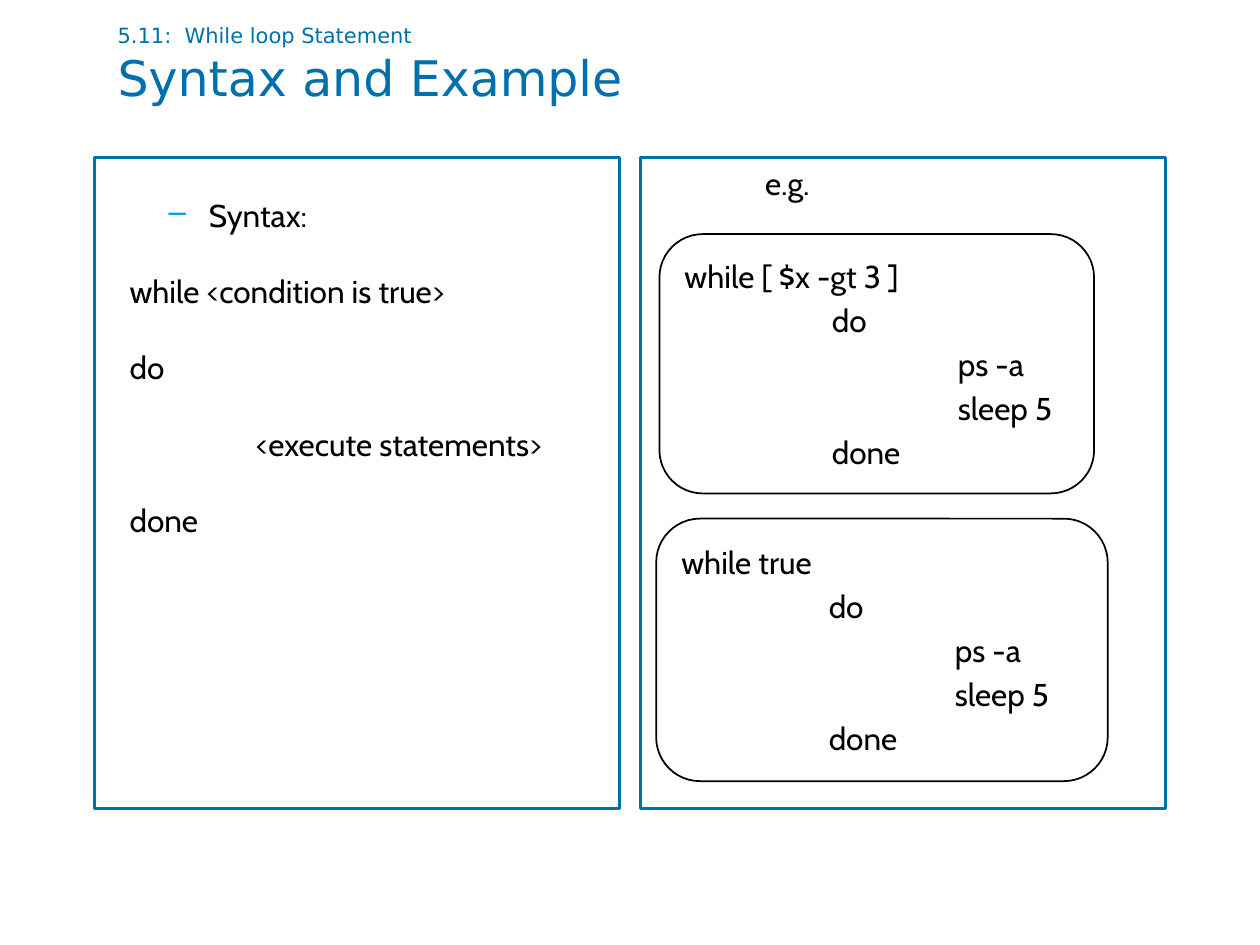
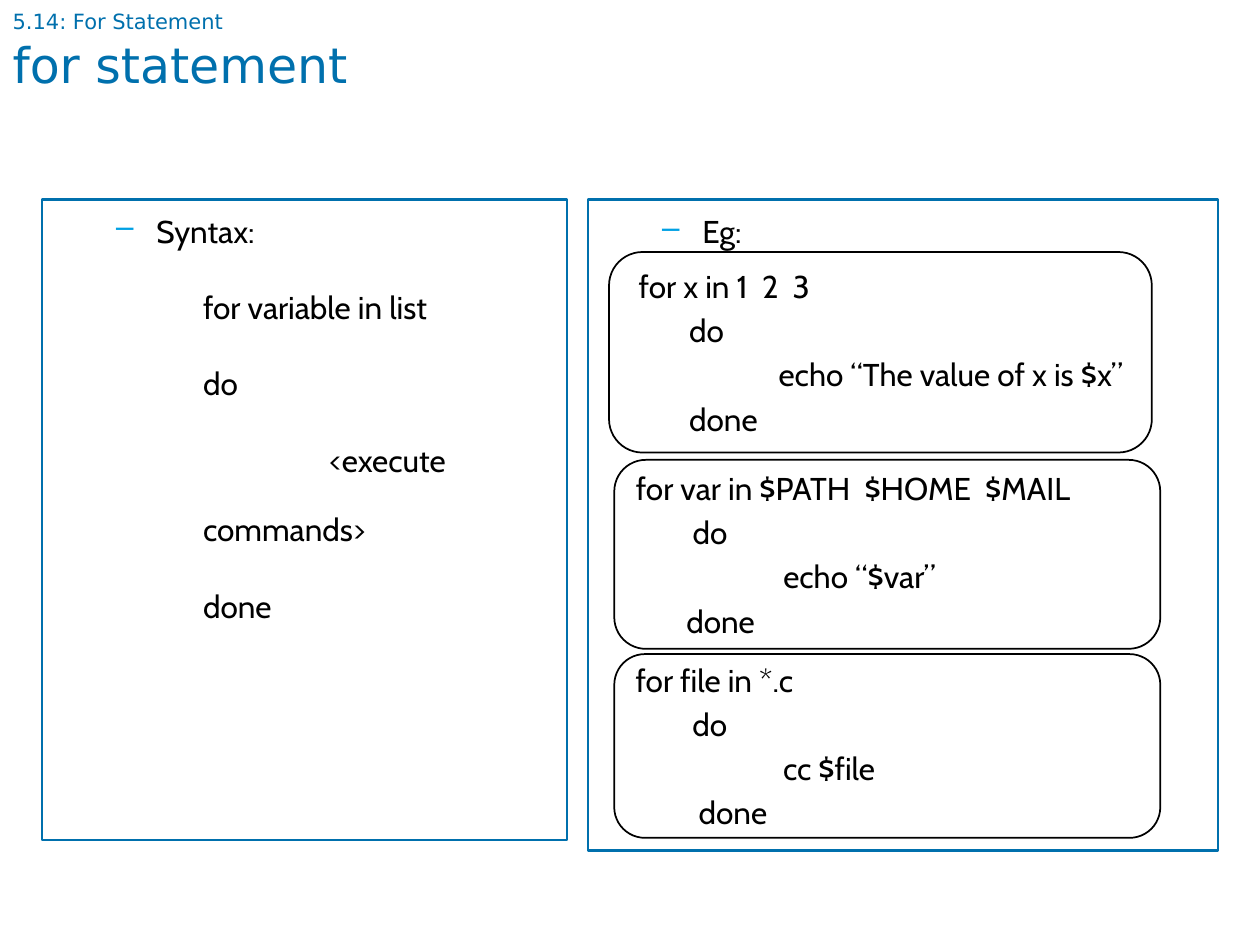
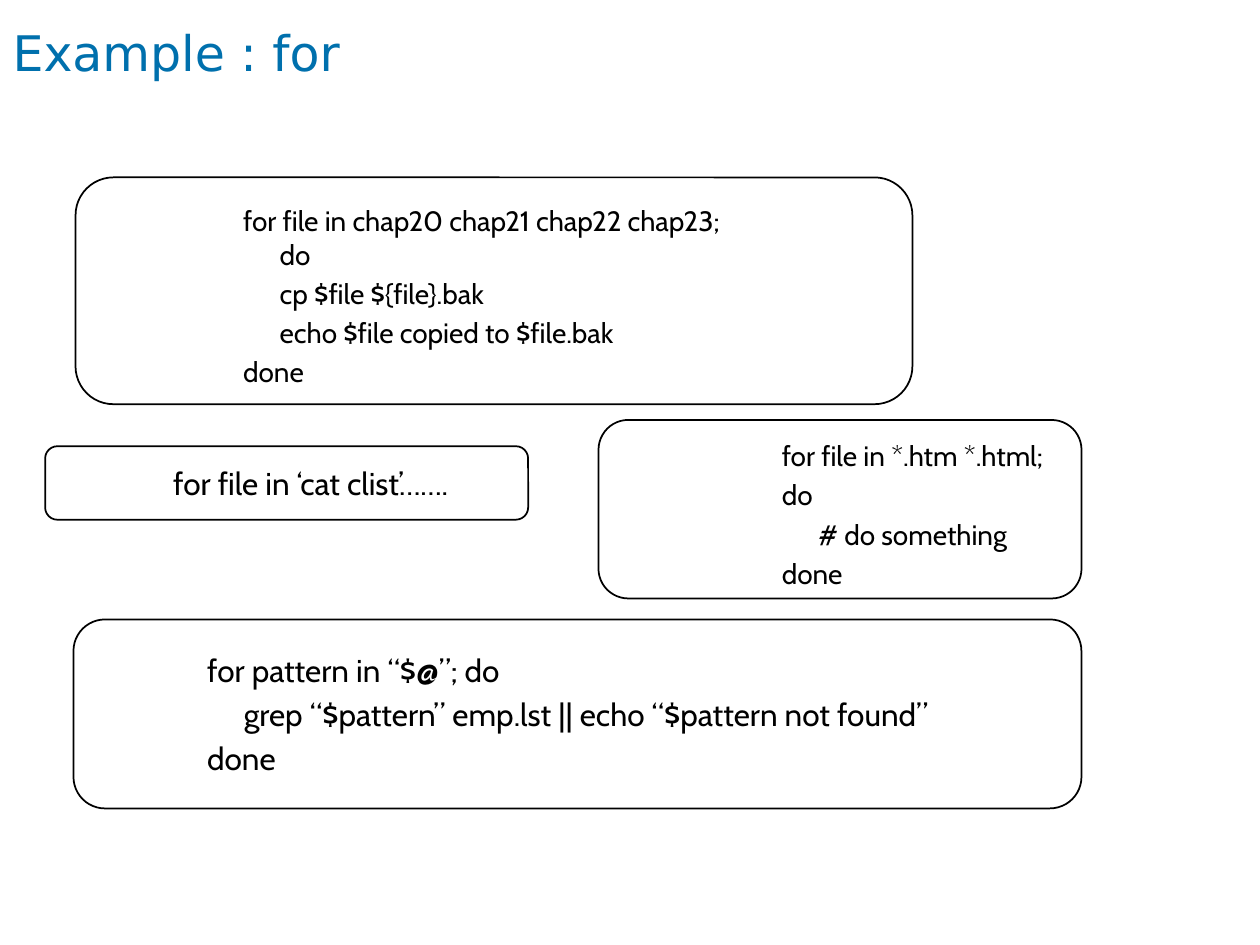
import dataclasses

import lxml.etree
import pptx
import pptx.dml.color
import pptx.enum.shapes
import pptx.enum.text
import pptx.oxml.ns
import pptx.util


@dataclasses.dataclass(frozen=True)
class Theme:
    accent: str = "0070AD"
    bullet: str = "00A1E4"
    ink: str = "000000"
    paper: str = "FFFFFF"
    title_font: str = "DejaVu Sans"
    body_font: str = "Cabin"
    title_size: float = 28
    section_size: float = 12
    body_size: float = 18
    small_size: float = 16
    panel_line: float = 1.5
    code_line: float = 1
    space_before: float = 0.2
    corner: float = 0.167
    hanging: float = 0.29


@dataclasses.dataclass(frozen=True)
class Line:
    text: str
    start: float = 0
    wrapped: float | None = None
    spacing: float | None = None
    bullet: bool = False


def syntax_heading(text, spacing):
    return Line(text, 0.49, 0.81, spacing, True)


def code(*pairs, spacing=None):
    return [Line(text, start, spacing=spacing) for text, start in pairs]


class Deck:
    columns = 120
    rows = 90

    def __init__(self, theme):
        self.theme = theme
        self.presentation = pptx.Presentation()
        self.presentation.slide_width = pptx.util.Inches(10)
        self.presentation.slide_height = pptx.util.Inches(7.5)
        self.slide = None

    def area(self, left, top, width, height):
        column = self.presentation.slide_width / self.columns
        row = self.presentation.slide_height / self.rows
        return [round(length) for length in
                (left * column, top * row, width * column, height * row)]

    def color(self, value):
        return pptx.dml.color.RGBColor.from_string(value)

    def format_run(self, run, font, size, color):
        run.font.name = font
        run.font.size = pptx.util.Pt(size)
        run.font.color.rgb = self.color(color)

    def add_slide(self, title, area, section=None):
        layout = self.presentation.slide_layouts[5]
        self.slide = self.presentation.slides.add_slide(layout)
        shape = self.slide.shapes.title
        shape.left, shape.top, shape.width, shape.height = self.area(*area)
        frame = shape.text_frame
        frame.auto_size = pptx.enum.text.MSO_AUTO_SIZE.NONE
        frame.vertical_anchor = pptx.enum.text.MSO_ANCHOR.TOP
        frame.text = f"{section}\v{title}" if section else title
        paragraph = frame.paragraphs[0]
        paragraph.alignment = pptx.enum.text.PP_ALIGN.LEFT
        for run in paragraph.runs:
            size = self.theme.section_size if run.text == section else self.theme.title_size
            self.format_run(run, self.theme.title_font, size, self.theme.accent)

    def add_bullet(self, properties):
        qualified = pptx.oxml.ns.qn
        color = lxml.etree.SubElement(properties, qualified("a:buClr"))
        lxml.etree.SubElement(color, qualified("a:srgbClr"), val=self.theme.bullet)
        lxml.etree.SubElement(properties, qualified("a:buChar"), char="–")

    def set_lines(self, shape, lines, size, anchor):
        frame = shape.text_frame
        frame.word_wrap = True
        frame.vertical_anchor = anchor
        frame.text = "\n".join(line.text for line in lines)
        for paragraph, line in zip(frame.paragraphs, lines):
            paragraph.alignment = pptx.enum.text.PP_ALIGN.LEFT
            paragraph.space_before = pptx.util.Pt(size * self.theme.space_before)
            if line.spacing:
                paragraph.line_spacing = pptx.util.Pt(line.spacing)
            wrapped = line.start + self.theme.hanging if line.wrapped is None else line.wrapped
            properties = paragraph._p.get_or_add_pPr()
            properties.set("marL", str(pptx.util.Inches(wrapped)))
            properties.set("indent", str(pptx.util.Inches(line.start - wrapped)))
            if line.bullet:
                self.add_bullet(properties)
            for run in paragraph.runs:
                self.format_run(run, self.theme.body_font, size, self.theme.ink)

    def add_outline(self, kind, area, color, width):
        shape = self.slide.shapes.add_shape(kind, *self.area(*area))
        shape.shadow.inherit = False
        shape.line.color.rgb = self.color(color)
        shape.line.width = pptx.util.Pt(width)
        return shape

    def add_panel(self, area, lines):
        shape = self.add_outline(pptx.enum.shapes.MSO_SHAPE.RECTANGLE, area,
                                 self.theme.accent, self.theme.panel_line)
        shape.fill.background()
        self.set_lines(shape, lines, self.theme.body_size, pptx.enum.text.MSO_ANCHOR.TOP)

    def add_code_box(self, area, lines=()):
        shape = self.add_outline(pptx.enum.shapes.MSO_SHAPE.ROUNDED_RECTANGLE, area,
                                 self.theme.ink, self.theme.code_line)
        shape.adjustments[0] = self.theme.corner
        shape.fill.solid()
        shape.fill.fore_color.rgb = self.color(self.theme.paper)
        shape.text_frame.margin_right = 0
        if lines:
            self.set_lines(shape, lines, self.theme.body_size, pptx.enum.text.MSO_ANCHOR.MIDDLE)

    def add_code_text(self, area, lines):
        shape = self.slide.shapes.add_textbox(*self.area(*area))
        self.set_lines(shape, lines, self.theme.small_size, pptx.enum.text.MSO_ANCHOR.TOP)


def add_while_slide(deck):
    deck.add_slide("Syntax and Example", (10, 1.5, 110, 9.4), "5.11:  While loop Statement")
    deck.add_panel((9, 15, 50, 62), [syntax_heading("Syntax:", 40)] + code(
        ("while <condition is true>", 0.18), ("do", 0.18),
        ("<execute statements>", 1.18), ("done", 0.18), spacing=40))
    deck.add_panel((61, 15, 50, 62), code(("e.g.", 0.89)))
    loop_body = code(("do", 1.17), ("ps -a", 2.17), ("sleep 5", 2.17), ("done", 1.17))
    deck.add_code_box((62.8, 22.3, 41.4, 24.7), code(("while [ $x -gt 3 ]", 0)) + loop_body)
    deck.add_code_box((62.5, 49.4, 43, 25), code(("while true", 0)) + loop_body)


def add_for_slide(deck):
    deck.add_slide("for statement", (0, 0.25, 108, 10.4), "5.14: For Statement")
    deck.add_panel((4, 19, 50, 61), [
        syntax_heading("Syntax:", 25),
        *code(("for variable in list", 1.18), ("do", 1.18), spacing=40),
        Line("<execute commands>", 2.18, 1.18, 40),
        Line("done", 1.18, spacing=40)])
    deck.add_panel((56, 19, 60, 62), [syntax_heading("Eg:", 25)])
    deck.add_code_box((58, 24, 51.7, 19.1), code(
        ("for x in 1  2  3", 0.06), ("do", 0.46),
        ("echo “The value of x is $x”", 1.17), ("done", 0.46)))
    deck.add_code_box((58.5, 43.8, 52, 18), code(
        ("for var in $PATH  $HOME  $MAIL", 0), ("do", 0.45),
        ("echo “$var”", 1.17), ("done", 0.4)))
    deck.add_code_box((58.5, 62.3, 52, 17.5), code(
        ("for file in *.c", 0), ("do", 0.45), ("cc $file", 1.17), ("done", 0.5)))


def add_for_examples_slide(deck):
    outer, inner = 0.89, 1.18
    deck.add_slide("Example : for", (0, 1.5, 102, 9.4))
    deck.add_code_box((7.2, 16.9, 79.7, 21.6))
    deck.add_code_box((4.3, 42.5, 46, 7), code(("for file in ‘cat clist’…….", outer)))
    deck.add_code_box((57, 40, 46, 17))
    deck.add_code_box((7, 59, 96, 18), code(
        ("for pattern in “$@”; do", outer),
        ("grep “$pattern” emp.lst || echo “$pattern not found”", inner),
        ("done", outer)))
    deck.add_code_text((11.3, 18.8, 60, 19.3), code(
        ("for file in chap20 chap21 chap22 chap23; do", outer),
        ("cp $file ${file}.bak", inner),
        ("echo $file copied to $file.bak", inner),
        ("done", outer)))
    deck.add_code_text((62.6, 41.2, 46.9, 16.1), code(
        ("for file in *.htm *.html;", outer), ("do", outer),
        ("# do something", inner), ("done", outer)))


def main():
    deck = Deck(Theme())
    add_while_slide(deck)
    add_for_slide(deck)
    add_for_examples_slide(deck)
    deck.presentation.save("out.pptx")


if __name__ == "__main__":
    main()
